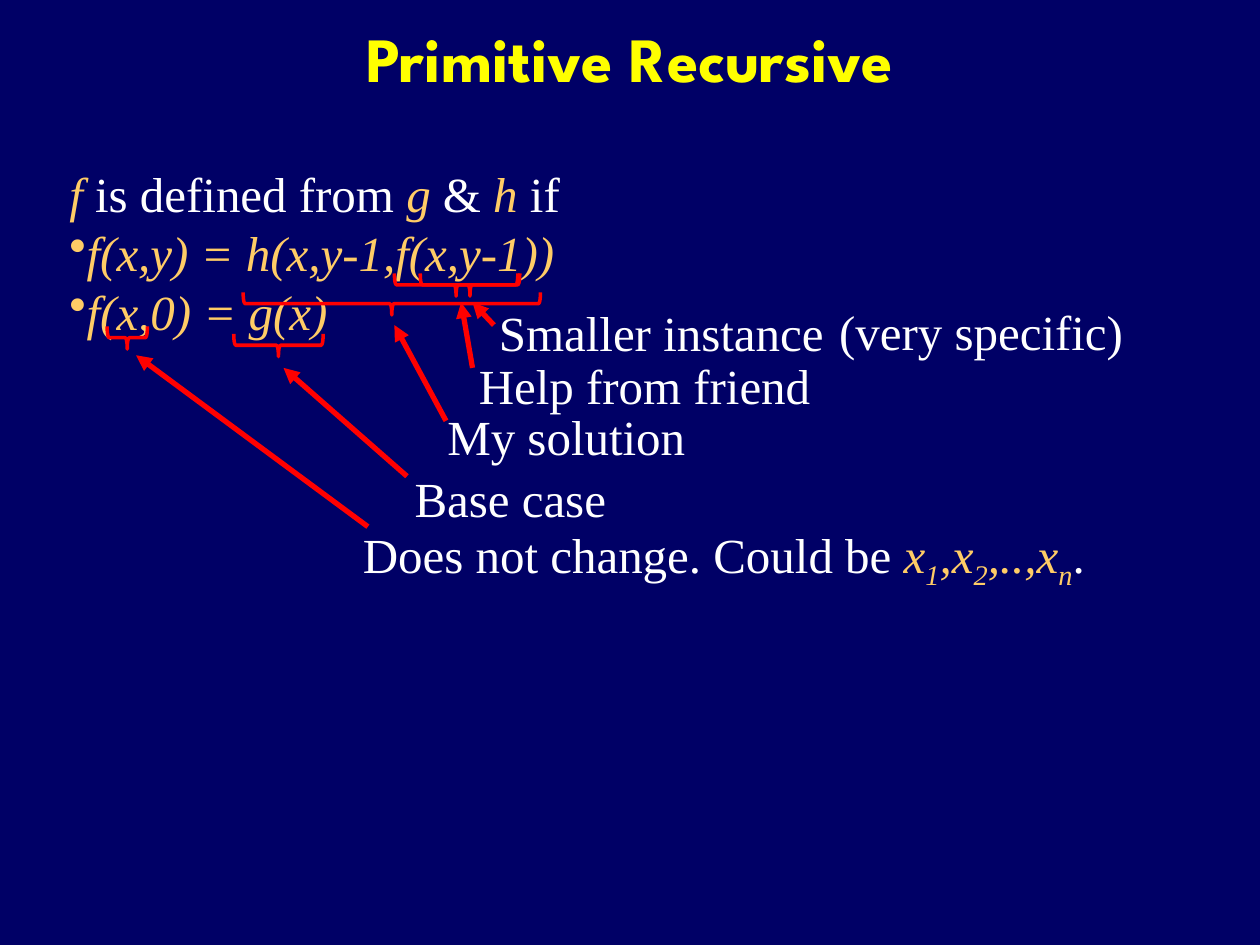
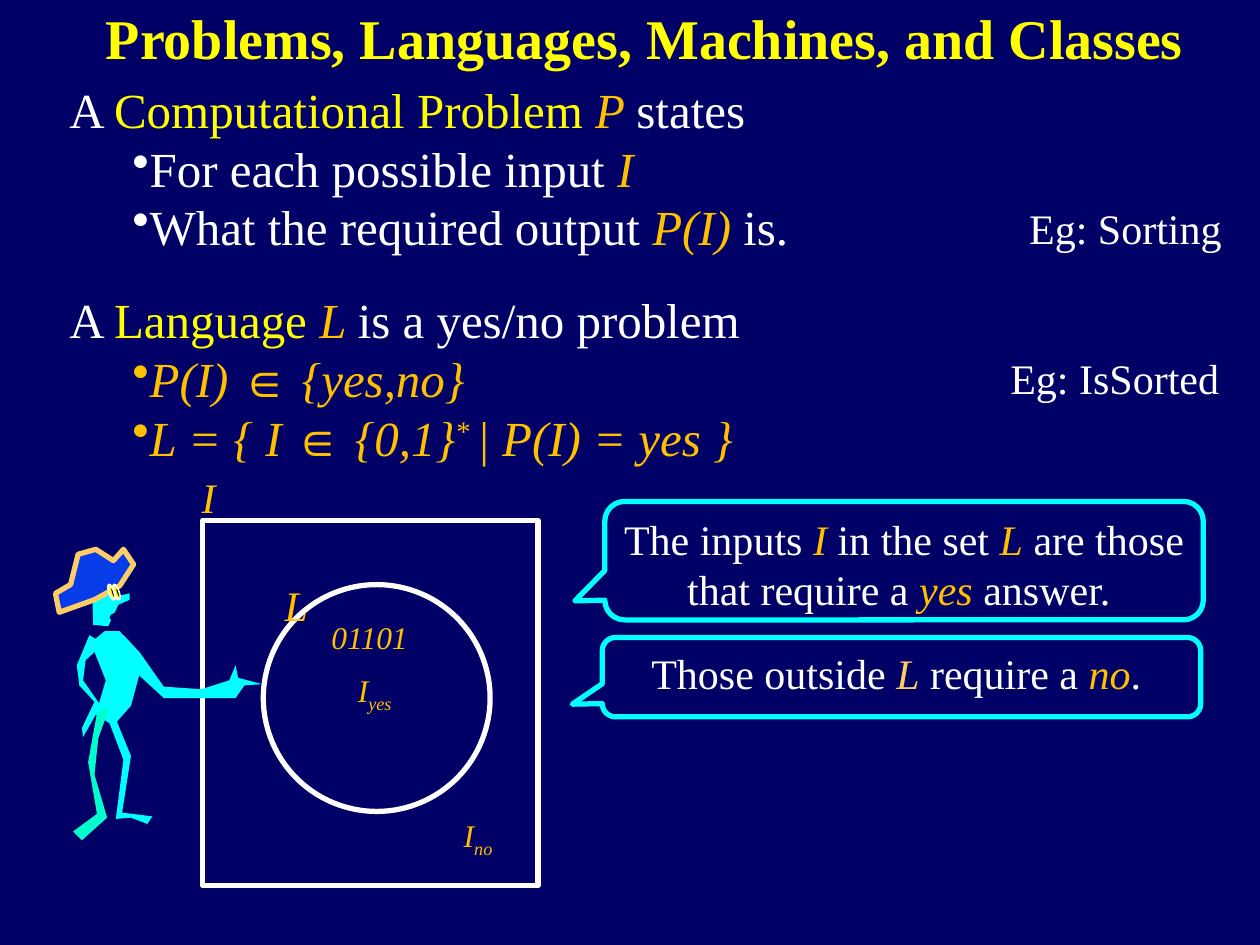
import pptx
import pptx.dml.color
import pptx.enum.shapes
import pptx.enum.text
import pptx.oxml
import pptx.util
from pptx.util import Inches

COLORS = {
    "navy": "000066", "yellow": "FFFF00", "white": "FFFFFF", "sand": "FFCC66",
    "gold": "FFC000", "red": "FF0000", "cyan": "00FFFF", "mint": "00FFCC",
    "blue": "063DE8", "black": "000000",
}
SERIF = "Times New Roman"
ITALIC = ("sand", "gold")
SUB, SUPER = -25, 30
WIDE, NARROW = 0.3, 0.1
NAMESPACE = 'xmlns:a="http://schemas.openxmlformats.org/drawingml/2006/main"'
SHAPES = pptx.enum.shapes.MSO_SHAPE
ALIGN = pptx.enum.text.PP_ALIGN
ANCHOR = pptx.enum.text.MSO_ANCHOR
AUTO_SIZE = pptx.enum.text.MSO_AUTO_SIZE

ARROW_LABELS = [
    ("Smaller instance", (3.66, 2.35, 3.31), (3.92, 2.58), (3.75, 2.4)),
    ("Help from friend", (3.5, 2.77, 3.36), (3.75, 2.92), (3.66, 2.4)),
    ("Base case", (2.99, 3.67, 2.14), (3.23, 3.78), (2.25, 2.92)),
    ("My solution", (3.25, 3.18, 2.61), (3.54, 3.34), (3.13, 2.58)),
]
BRACES = [(3.73, 2.26, 0.79), (3.62, 2.26, 0.98), (3.11, 2.41, 2.36),
          (2.21, 2.74, 0.71), (1.01, 2.68, 0.32)]

BODY = {
    "head": [(0.94, 4.73), (0.84, 4.54), (0.73, 4.59), (0.74, 4.96), (0.86, 4.97),
             (0.94, 4.8), (1.03, 4.76), (1.03, 4.71)],
    "torso": [(1.08, 5.16), (0.95, 5.01), (0.83, 5.01), (0.72, 5.1), (0.84, 5.4),
              (0.76, 5.67), (0.9, 5.76), (1.04, 5.6), (1.11, 5.34)],
    "back arm": [(0.82, 5.11), (0.71, 5.04), (0.61, 5.28), (0.63, 5.44), (0.75, 5.57),
                 (0.65, 5.78), (0.66, 5.85), (0.8, 5.6), (0.66, 5.4), (0.68, 5.24)],
    "back leg": [(0.87, 5.61), (0.77, 5.66), (0.7, 6.05), (0.77, 6.46), (0.58, 6.6),
                 (0.65, 6.67), (0.85, 6.49), (0.75, 6.15), (0.78, 5.86)],
    "front leg": [(0.88, 5.61), (0.85, 5.69), (0.98, 6.03), (0.92, 6.5), (1.04, 6.49),
                  (1.17, 6.54), (1.21, 6.48), (0.97, 6.45), (1.04, 6.0)],
}
HAT = [(1.06, 4.48), (0.98, 4.36), (0.9, 4.45), (0.76, 4.36), (0.62, 4.4), (0.56, 4.64),
       (0.44, 4.71), (0.47, 4.86), (0.75, 4.76), (0.95, 4.65)]
POINTING_ARM = [(1.11, 5.18), (0.98, 5.04), (0.93, 5.1), (1.05, 5.31), (1.3, 5.54),
                (1.87, 5.54), (1.94, 5.44), (2.08, 5.43), (1.89, 5.38), (1.87, 5.28),
                (1.82, 5.4), (1.6, 5.47), (1.3, 5.45)]


def rgb(name):
    """Return the named colour."""
    return pptx.dml.color.RGBColor.from_string(COLORS[name])


def add_page(deck):
    """Add a blank slide with the navy background."""
    page = deck.slides.add_slide(deck.slide_layouts[6])
    page.background.fill.solid()
    page.background.fill.fore_color.rgb = rgb("navy")
    return page


def write_spans(para, spans, size, font=SERIF, bold=False):
    """Fill a paragraph with (text, colour, optional baseline) spans."""
    for text, color, *baseline in spans:
        span = para.add_run()
        span.text = text
        span.font.name, span.font.size = font, pptx.util.Pt(size)
        span.font.bold, span.font.italic = bold, color in ITALIC
        span.font.color.rgb = rgb(color)
        if baseline:
            span.font._element.set("baseline", str(baseline[0] * 1000))


def add_bullet(para, indent):
    """Give a paragraph a bullet at the indent in inches."""
    props = para._p.get_or_add_pPr()
    props.set("marL", str(Inches(indent)))
    props.set("indent", "0")
    props.append(pptx.oxml.parse_xml(f'<a:buChar {NAMESPACE} char="•"/>'))


def add_text(page, place, lines, size=28, inset=WIDE, wrap=False, indent=0):
    """Add a text box whose lines after the first are bulleted."""
    height = len(lines) * size * 1.2 / 72 + 0.1
    box = page.shapes.add_textbox(*map(Inches, (*place, height)))
    frame = box.text_frame
    frame.margin_left = frame.margin_right = Inches(inset)
    frame.word_wrap = wrap
    frame.auto_size = AUTO_SIZE.SHAPE_TO_FIT_TEXT
    for number, spans in enumerate(lines):
        para = frame.add_paragraph() if number else frame.paragraphs[0]
        if number:
            add_bullet(para, indent)
        write_spans(para, spans, size)


def add_title(page, text, place, size, font):
    """Add the bold yellow centred title."""
    frame = page.shapes.add_textbox(*map(Inches, (*place, 1.25))).text_frame
    frame.word_wrap = True
    frame.vertical_anchor = ANCHOR.MIDDLE
    frame.paragraphs[0].alignment = ALIGN.CENTER
    write_spans(frame.paragraphs[0], [(text, "yellow")], size, font, bold=True)


def paint(shape, fill=None, line=None, width=3):
    """Set the fill and outline of a shape and drop its shadow."""
    shape.shadow.inherit = False
    if fill:
        shape.fill.solid()
        shape.fill.fore_color.rgb = rgb(fill)
    else:
        shape.fill.background()
    if line:
        shape.line.color.rgb = rgb(line)
        shape.line.width = pptx.util.Pt(width)
    else:
        shape.line.fill.background()


def add_shape(page, kind, place, rotation=0, **look):
    """Add a painted preset shape."""
    shape = page.shapes.add_shape(kind, *map(Inches, place))
    shape.rotation = rotation
    paint(shape, **look)
    return shape


def add_arrow(page, start, end):
    """Add a red arrow."""
    arrow = page.shapes.add_connector(
        pptx.enum.shapes.MSO_CONNECTOR.STRAIGHT, *map(Inches, start + end))
    arrow.line.color.rgb = rgb("red")
    arrow.line.width = pptx.util.Pt(3)
    arrow.line._get_or_add_ln().append(
        pptx.oxml.parse_xml(f'<a:tailEnd {NAMESPACE} type="triangle"/>'))
    arrow._element.spPr.append(pptx.oxml.parse_xml(f"<a:effectLst {NAMESPACE}/>"))


def add_brace(page, center_x, center_y, span):
    """Add a red brace lying under a span of a formula."""
    depth = 0.18
    place = (center_x - depth / 2, center_y - span / 2, depth, span)
    add_shape(page, SHAPES.LEFT_BRACE, place, 270, line="red", width=2)


def add_callout(page, place, spans):
    """Add a cyan speech balloon pointing left."""
    balloon = add_shape(page, SHAPES.ROUNDED_RECTANGULAR_CALLOUT, place, line="cyan")
    balloon.adjustments[0], balloon.adjustments[1] = -0.55, 0.34
    frame = balloon.text_frame
    frame.word_wrap = True
    frame.vertical_anchor = ANCHOR.TOP
    frame.paragraphs[0].alignment = ALIGN.CENTER
    write_spans(frame.paragraphs[0], spans, 24)


def add_outline(page, points, **look):
    """Add a closed outline through points in inches."""
    corners = [tuple(map(Inches, point)) for point in points]
    builder = page.shapes.build_freeform(*corners[0])
    builder.add_line_segments(corners[1:], close=True)
    paint(builder.convert_to_shape(), **look)


def add_figure(page):
    """Draw the pointing figure with hat and glasses."""
    for part, points in BODY.items():
        add_outline(page, points, fill="mint" if part == "back leg" else "cyan")
    add_outline(page, HAT, fill="blue", line="sand")
    for left in (0.82, 0.86):
        add_shape(page, SHAPES.OVAL, (left, 4.68, 0.13, 0.04), 71.4,
                  fill="yellow", line="white", width=1)
        add_shape(page, SHAPES.OVAL, (left + 0.04, 4.7, 0.07, 0.01), 71.4, fill="black")
    add_shape(page, SHAPES.OVAL, (0.87, 4.86, 0.15, 0.08), fill="navy")
    add_shape(page, SHAPES.OVAL, (0.86, 5.22, 0.22, 0.22), fill="cyan", line="cyan")
    add_outline(page, POINTING_ARM, fill="cyan")


def build_recursion(deck):
    """Build the slide on primitive recursion."""
    page = add_page(deck)
    add_title(page, "Primitive Recursive", (0.75, -0.17, 8.5), 36, "League Spartan")
    add_text(page, (0.25, 1.25, 9.75), [
        [("f", "sand"), (" is defined from ", "white"), ("g", "sand"), (" &", "white"),
         (" h ", "sand"), ("if", "white")],
        [("f(x,y) = h(x,y-1,f(x,y-1))", "sand")],
        [("f(x,0) = g(x)", "sand")]], wrap=True)
    add_text(page, (2.58, 4.11, 6.45), [
        [("Does not change. Could be ", "white"), ("x", "sand"), ("1", "sand", SUB),
         (",x", "sand"), ("2", "sand", SUB), (",..,x", "sand"), ("n", "sand", SUB),
         (".", "white")]])
    add_arrow(page, (2.92, 4.18), (1.08, 2.82))
    for label, place, start, end in ARROW_LABELS:
        add_text(page, place, [[(label, "white")]])
        add_arrow(page, start, end)
    add_text(page, (6.36, 2.34, 2.88), [[("(very specific)", "white")]])
    for brace in BRACES:
        add_brace(page, *brace)


def build_languages(deck):
    """Build the slide on problems and languages."""
    page = add_page(deck)
    add_text(page, (0.25, 0.58, 7.12), [
        [("A ", "white"), ("Computational Problem ", "yellow"), ("P ", "gold"),
         ("states", "white")],
        [("For each possible input ", "white"), ("I", "gold")],
        [("What the required output ", "white"), ("P(I) ", "gold"), ("is.", "white")]],
        indent=0.5)
    add_text(page, (0.25, 2.25, 6.09), [
        [("A ", "white"), ("Language ", "yellow"), ("L ", "gold"),
         ("is a yes/no problem", "white")],
        [("P(I) ∈ {yes,no}", "gold")],
        [("L = { I ∈ {0,1}", "gold"), ("* ", "gold", SUPER), ("| P(I) = yes }", "gold")]],
        indent=0.5)
    add_text(page, (8.07, 1.56, 1.74), [[("Eg: Sorting", "white")]], 24, NARROW)
    add_text(page, (7.92, 2.75, 1.87), [[("Eg: IsSorted", "white")]], 24, NARROW)

    add_text(page, (1.3, 3.69, 0.72), [[("I", "gold")]], 24)
    add_shape(page, SHAPES.RECTANGLE, (1.61, 4.13, 2.66, 2.9), line="white")
    add_shape(page, SHAPES.OVAL, (2.09, 4.64, 1.8, 1.8), line="white")
    for left, top, spans in (
            (2.54, 5.28, [("I", "gold"), ("yes", "gold", SUB)]),
            (3.38, 6.43, [("I", "gold"), ("no", "gold", SUB)]),
            (2.33, 4.86, [("01101", "gold")])):
        add_text(page, (left, top, 1.35), [spans], 18, wrap=True)

    add_callout(page, (4.8, 3.98, 4.75, 0.94), [
        ("The inputs ", "white"), ("I ", "gold"), ("in the set ", "white"), ("L", "gold"),
        (" are those that require a ", "white"), ("yes ", "gold"), ("answer. ", "white")])
    add_text(page, (2.16, 4.55, 0.39), [[("L", "gold")]], 24, NARROW)
    add_callout(page, (4.78, 5.06, 4.75, 0.63), [
        ("Those outside ", "white"), ("L", "sand"), (" require a ", "white"),
        ("no", "gold"), (". ", "white")])
    add_title(page, "Problems, Languages, Machines, and Classes",
              (0.33, -0.33, 9.58), 32, SERIF)
    add_figure(page)


def main():
    """Build and save the deck."""
    deck = pptx.Presentation()
    deck.slide_width, deck.slide_height = Inches(10), Inches(7.5)
    build_recursion(deck)
    build_languages(deck)
    deck.save("out.pptx")


if __name__ == "__main__":
    main()
